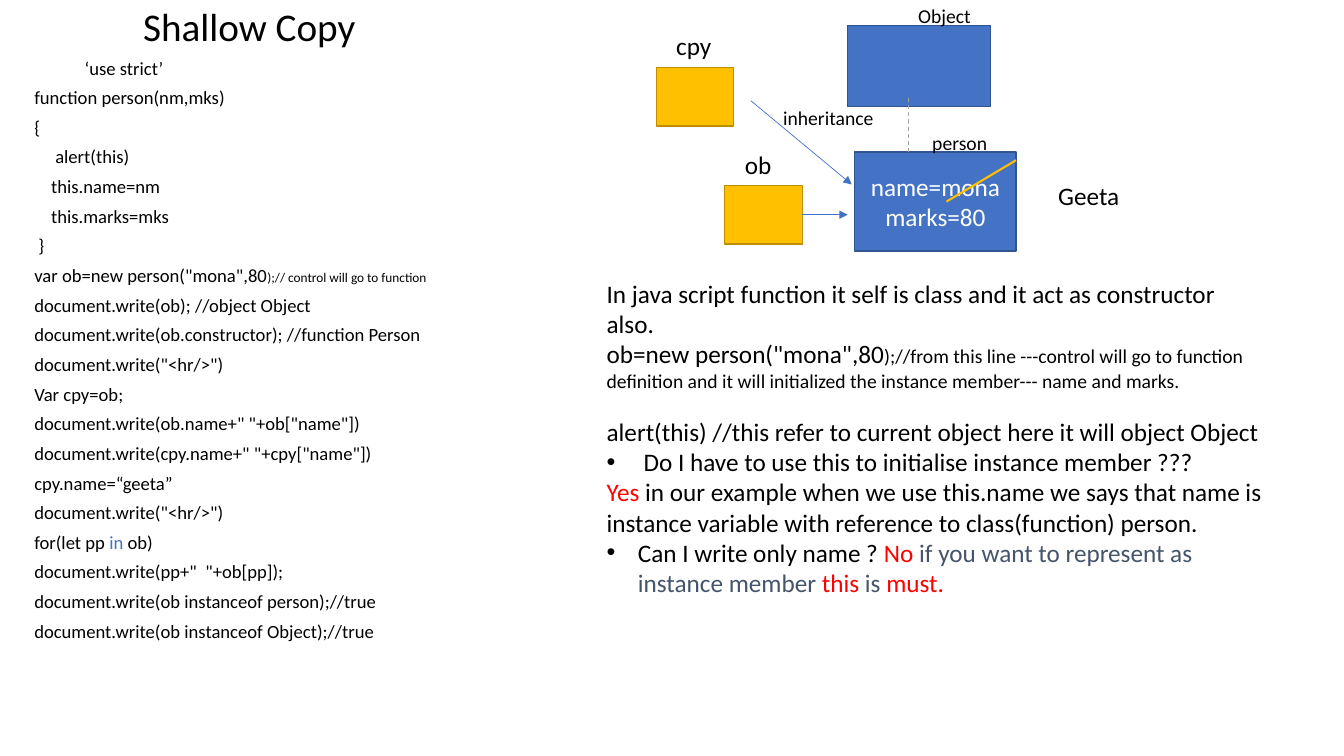
from dataclasses import dataclass
from typing import NamedTuple, Optional

from lxml import etree
from pptx import Presentation, util as u
from pptx.dml.color import RGBColor
from pptx.enum import dml, shapes, text
from pptx.oxml import ns


@dataclass(frozen=True)
class Theme:
    font: str = "Calibri"
    black: str = "000000"
    white: str = "FFFFFF"
    blue: str = "4472C4"
    navy: str = "325491"
    gold: str = "FFC000"
    brown: str = "BD8E00"
    gray: str = "A5A5A5"
    red: str = "FF0000"
    slate: str = "44546A"
    title: float = 28
    main: float = 18
    small: float = 14
    code: float = 13.3
    note: float = 9.5


T = Theme()
WIDE, HIGH = u.Inches(13.33), u.Inches(7.5)
COLS, ROWS = 80, 45


class Area(NamedTuple):
    """Left, top, width and height in grid columns and rows."""
    x: float
    y: float
    w: float
    h: float


class Run(NamedTuple):
    text: str
    color: Optional[str] = None
    size: Optional[float] = None


@dataclass
class Para:
    runs: list
    size: float = T.main
    color: str = T.black
    bullet: bool = False
    before: float = 0
    lead: Optional[float] = None
    align: text.PP_ALIGN = text.PP_ALIGN.LEFT


@dataclass
class Label:
    text: str
    area: Area
    size: float = T.main


@dataclass
class Box:
    name: str
    area: Area
    fill: str
    edge: str
    lines: tuple = ()


@dataclass
class Link:
    start: tuple
    end: tuple
    color: str
    width: float
    arrow: bool = False
    dash: bool = False
    source: Optional[str] = None


CODE = [
    [Run("\t‘use strict’")],
    [Run("function person(nm,mks)")],
    [Run("{")],
    [Run("     alert(this)")],
    [Run("    this.name=nm")],
    [Run("    this.marks=mks")],
    [Run(" }")],
    [Run('var ob=new person("mona",80'), Run(");// control will go to function", size=T.note)],
    [Run("document.write(ob); //object Object")],
    [Run("document.write(ob.constructor); //function Person")],
    [Run('document.write("<hr/>")')],
    [Run("Var cpy=ob;")],
    [Run('document.write(ob.name+" "+ob["name"])')],
    [Run('document.write(cpy.name+" "+cpy["name"])')],
    [Run("cpy.name=“geeta”")],
    [Run('document.write("<hr/>")')],
    [Run("for(let pp "), Run("in ", T.blue), Run("ob)")],
    [Run('document.write(pp+"  "+ob[pp]);')],
    [Run("document.write(ob instanceof person);//true")],
    [Run("document.write(ob instanceof Object);//true")],
]
NOTES = [
    Para([Run("In java script function it self is class and it act as constructor also.")]),
    Para([Run('ob=new person("mona",80'),
          Run(");//from this line ---control will go to function definition and it will "
              "initialized the instance member--- name and marks.", size=T.small)]),
    Para([Run("alert(this) //this refer to current object here it will object Object")], before=17),
    Para([Run(" Do I have to use this to initialise instance member ???")], bullet=True),
    Para([Run("Yes", T.red),
          Run(" in our example when we use this.name we says that name is instance variable "
              "with reference to class(function) person.")]),
    Para([Run("Can I write only name ? "), Run("No ", T.red),
          Run("if you want to represent as instance member ", T.slate),
          Run("this ", T.red), Run("is", T.slate), Run(" must.", T.red)], bullet=True),
]
BOXES = [
    Box("ob", Area(43.14, 11.04, 4.62, 3.48), T.gold, T.brown),
    Box("cpy", Area(39.06, 4.02, 4.62, 3.48), T.gold, T.brown),
    Box("Object", Area(50.46, 1.5, 8.52, 4.86), T.blue, T.navy),
    Box("person", Area(50.88, 9.06, 9.6, 5.88), T.blue, T.navy, ("name=mona", "marks=80")),
]
LINKS = [
    Link((47.76, 12.78), (50.46, 12.78), T.blue, 0.5, arrow=True, source="ob"),
    Link((44.7, 6), (50.7, 10.98), T.blue, 0.5, arrow=True),
    Link((54.06, 5.82), (54.06, 9.24), T.gray, 0.75, dash=True),
    Link((56.34, 12), (60.48, 9.54), T.gold, 1.5),
]
LABELS = [
    Label("ob", Area(43.74, 8.58, 3.48, 2.4)),
    Label("cpy", Area(39.66, 1.5, 3.48, 2.4)),
    Label("Geeta", Area(62.4, 10.44, 7.86, 2.4)),
    Label("person", Area(54.9, 7.5, 5.88, 2.04), T.small),
    Label("Object", Area(54.06, -0.06, 7.62, 2.04), T.small),
    Label("inheritance", Area(46.02, 6, 7.62, 2.04), T.small),
]


def rgb(code: str) -> RGBColor:
    return RGBColor.from_string(code)


def col(x: float) -> int:
    return round(x * WIDE / COLS)


def row(y: float) -> int:
    return round(y * HIGH / ROWS)


def place(area: Area) -> tuple:
    return col(area.x), row(area.y), col(area.w), row(area.h)


def write(frame, paras: list) -> None:
    frame.word_wrap = True
    for i, para in enumerate(paras):
        p = frame.paragraphs[0] if i == 0 else frame.add_paragraph()
        p.alignment = para.align
        p.line_spacing = para.lead
        p.space_before = u.Pt(para.before if i else 0)
        props = p._p.get_or_add_pPr()
        hang = u.Inches(0.31) if para.bullet else 0
        props.set("marL", str(hang))
        props.set("indent", str(-hang))
        if para.bullet:
            etree.SubElement(props, ns.qn("a:buFont"), typeface="Arial")
            etree.SubElement(props, ns.qn("a:buChar"), char="•")
        else:
            etree.SubElement(props, ns.qn("a:buNone"))
        p.font.name = T.font
        p.font.size = u.Pt(para.size)
        p.font.color.rgb = rgb(para.color)
        for part in para.runs:
            run = p.add_run()
            run.text = part.text
            if part.size:
                run.font.size = u.Pt(part.size)
            if part.color:
                run.font.color.rgb = rgb(part.color)


def fill_holder(holder, area: Area, paras: list) -> None:
    holder.left, holder.top, holder.width, holder.height = place(area)
    holder.text_frame.auto_size = text.MSO_AUTO_SIZE.NONE
    write(holder.text_frame, paras)


def add_text(slide, area: Area, paras: list) -> None:
    frame = slide.shapes.add_textbox(*place(area)).text_frame
    write(frame, paras)
    frame.auto_size = text.MSO_AUTO_SIZE.SHAPE_TO_FIT_TEXT


def add_box(slide, box: Box):
    shape = slide.shapes.add_shape(shapes.MSO_SHAPE.RECTANGLE, *place(box.area))
    shape.shadow.inherit = False
    shape.fill.solid()
    shape.fill.fore_color.rgb = rgb(box.fill)
    shape.line.color.rgb = rgb(box.edge)
    shape.line.width = u.Pt(1)
    if box.lines:
        shape.text_frame.vertical_anchor = text.MSO_ANCHOR.MIDDLE
        write(shape.text_frame, [Para([Run(line)], color=T.white, align=text.PP_ALIGN.CENTER)
                                 for line in box.lines])
    return shape


def add_link(slide, link: Link, boxes: dict) -> None:
    (x1, y1), (x2, y2) = link.start, link.end
    line = slide.shapes.add_connector(shapes.MSO_CONNECTOR.STRAIGHT,
                                      col(x1), row(y1), col(x2), row(y2))
    if link.source:
        line.begin_connect(boxes[link.source], 3)
    line.line.color.rgb = rgb(link.color)
    line.line.width = u.Pt(link.width)
    if link.dash:
        line.line.dash_style = dml.MSO_LINE.DASH
    if link.arrow:
        etree.SubElement(line.line._get_or_add_ln(), ns.qn("a:tailEnd"), type="triangle")
    etree.SubElement(line._element.spPr, ns.qn("a:effectLst"))


def main() -> None:
    deck = Presentation()
    deck.slide_width, deck.slide_height = WIDE, HIGH
    slide = deck.slides.add_slide(deck.slide_layouts[1])
    title, body = slide.placeholders
    fill_holder(title, Area(7.92, 0.54, 36.78, 2.4),
                [Para([Run("Shallow Copy")], T.title, lead=0.9)])
    title.text_frame.vertical_anchor = text.MSO_ANCHOR.MIDDLE
    fill_holder(body, Area(1.44, 3.42, 33.78, 36.18),
                [Para(runs, T.code, before=10, lead=0.7) for runs in CODE])
    boxes = {box.name: add_box(slide, box) for box in BOXES}
    for link in LINKS:
        add_link(slide, link, boxes)
    for label in LABELS:
        add_text(slide, label.area, [Para([Run(label.text)], label.size)])
    add_text(slide, Area(35.52, 16.26, 40.5, 25.26), NOTES)
    deck.save("out.pptx")


if __name__ == "__main__":
    main()
